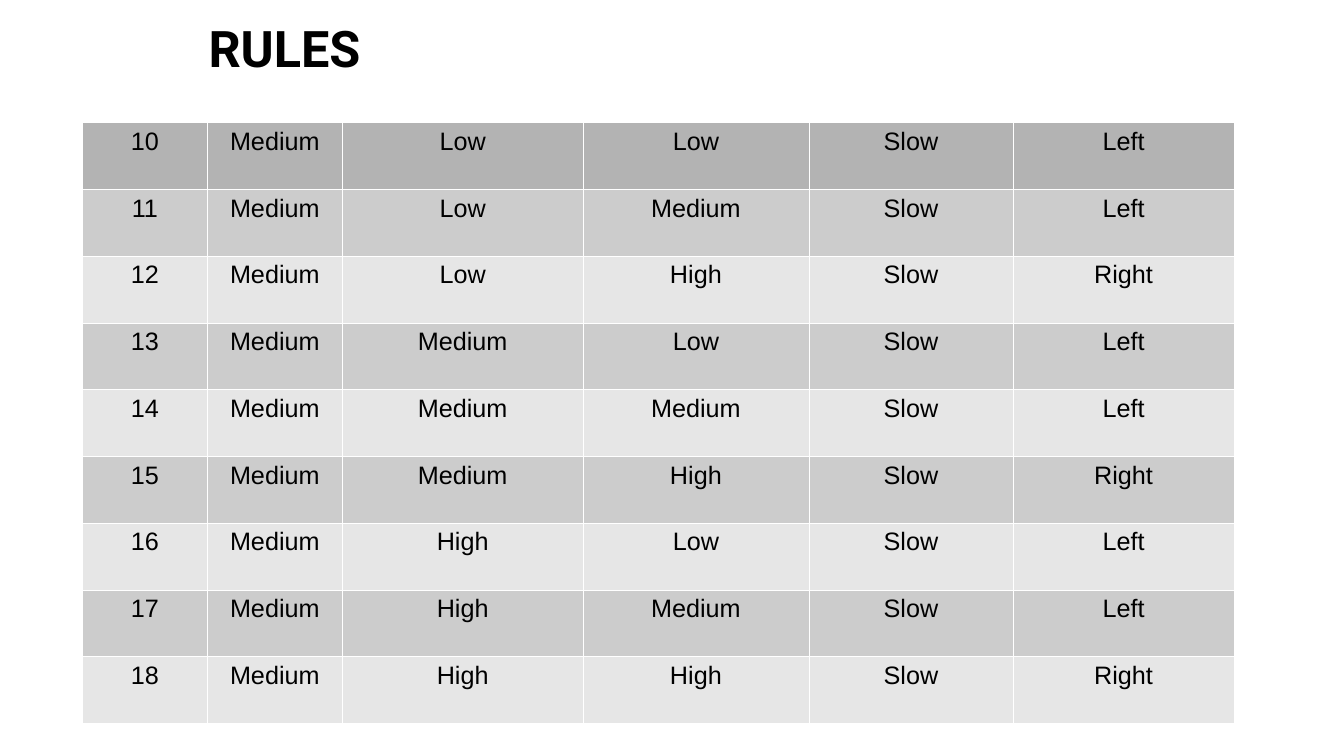
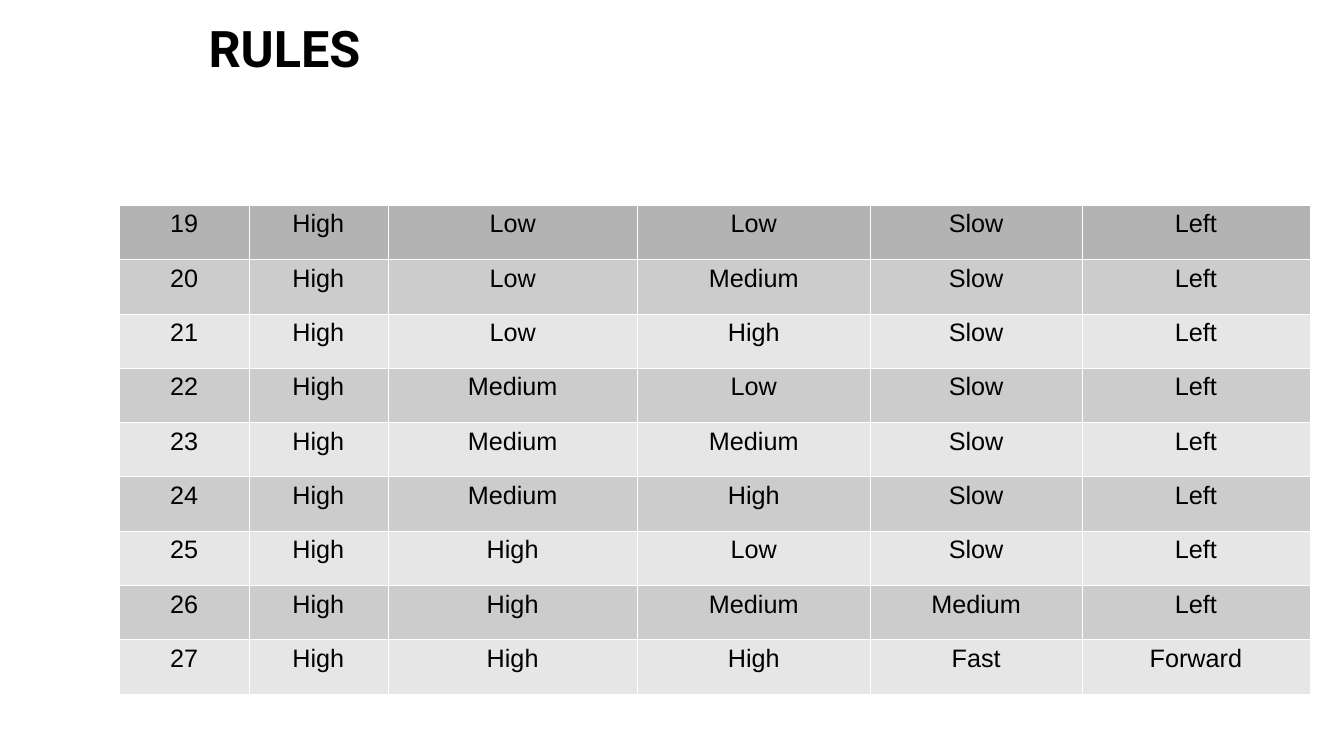
import itertools

import lxml.etree
import pptx
import pptx.dml.color
import pptx.enum.text
import pptx.oxml.ns
import pptx.util

Pt = pptx.util.Pt
ALIGN = pptx.enum.text.PP_ALIGN

COLORS = {
    "text": "000000",
    "border": "FFFFFF",
    "first_row": "B3B3B3",
    "odd_row": "CCCCCC",
    "even_row": "E6E6E6",
}
LEVELS = ("Low", "Medium", "High")
COLUMN_WEIGHTS = (1.24, 1.34, 2.39, 2.24, 2.03, 2.19)
BORDER_WIDTH = 0.06


def rgb(name):
    return pptx.dml.color.RGBColor.from_string(COLORS[name])


def write_text(frame, text, size, font, bold=False, align=ALIGN.LEFT):
    paragraph = frame.paragraphs[0]
    paragraph.alignment = align
    run = paragraph.add_run()
    run.text = text
    run.font.size = Pt(size)
    run.font.name = font
    run.font.bold = bold
    run.font.color.rgb = rgb("text")


def place_title(layout):
    """Set the title position that all slides inherit."""
    title = layout.placeholders[0]
    title.left, title.top = Pt(141.8), Pt(10.8)
    title.width, title.height = Pt(931.7), Pt(46)
    title.text_frame.vertical_anchor = pptx.enum.text.MSO_ANCHOR.MIDDLE
    title.text_frame.auto_size = pptx.enum.text.MSO_AUTO_SIZE.NONE


def add_borders(cell):
    properties = cell._tc.get_or_add_tcPr()
    qn = pptx.oxml.ns.qn
    for side in ("a:lnL", "a:lnR", "a:lnT", "a:lnB"):
        line = lxml.etree.SubElement(properties, qn(side), w=str(Pt(BORDER_WIDTH)))
        fill = lxml.etree.SubElement(line, qn("a:solidFill"))
        lxml.etree.SubElement(fill, qn("a:srgbClr"), val=COLORS["border"])


def row_color(index):
    if index == 0:
        return "first_row"
    return "odd_row" if index % 2 else "even_row"


def rule_rows(first_number, first_level, outcomes):
    """Pair every combination of the other two levels with its outcome."""
    combinations = itertools.product(LEVELS, repeat=2)
    return [
        (str(number), first_level, *levels, *outcome)
        for number, levels, outcome in zip(itertools.count(first_number), combinations, outcomes)
    ]


def add_rules_table(slide, rows, left, top, width, row_height):
    table = slide.shapes.add_table(
        len(rows), len(COLUMN_WEIGHTS), Pt(left), Pt(top), Pt(width), Pt(row_height * len(rows))
    ).table
    table.first_row = table.horz_banding = False
    for column, weight in zip(table.columns, COLUMN_WEIGHTS):
        column.width = Pt(width * weight / sum(COLUMN_WEIGHTS))
    for index, values in enumerate(rows):
        table.rows[index].height = Pt(row_height)
        for cell, value in zip(table.rows[index].cells, values):
            add_borders(cell)
            cell.fill.solid()
            cell.fill.fore_color.rgb = rgb(row_color(index))
            write_text(cell.text_frame, value, 18, "Arial", align=ALIGN.CENTER)


def add_rules_slide(deck, layout, rows, **table_position):
    slide = deck.slides.add_slide(layout)
    write_text(slide.shapes.title.text_frame, "RULES", 36, "Roboto", bold=True)
    add_rules_table(slide, rows, **table_position)


def main():
    deck = pptx.Presentation()
    deck.slide_width, deck.slide_height = Pt(960), Pt(540)
    title_only = deck.slide_layouts[5]
    place_title(title_only)

    # Rules 10 to 18: first level medium
    slow_left, slow_right = ("Slow", "Left"), ("Slow", "Right")
    medium_rules = rule_rows(10, "Medium", [slow_left, slow_left, slow_right] * 3)
    add_rules_slide(deck, title_only, medium_rules,
                    left=58.9, top=87.5, width=822.5, row_height=47.7)

    # Rules 19 to 27: first level high
    high_outcomes = [slow_left] * 7 + [("Medium", "Left"), ("Fast", "Forward")]
    add_rules_slide(deck, title_only, rule_rows(19, "High", high_outcomes),
                    left=85.3, top=146.5, width=850.5, row_height=38.8)

    deck.save("out.pptx")


if __name__ == "__main__":
    main()
